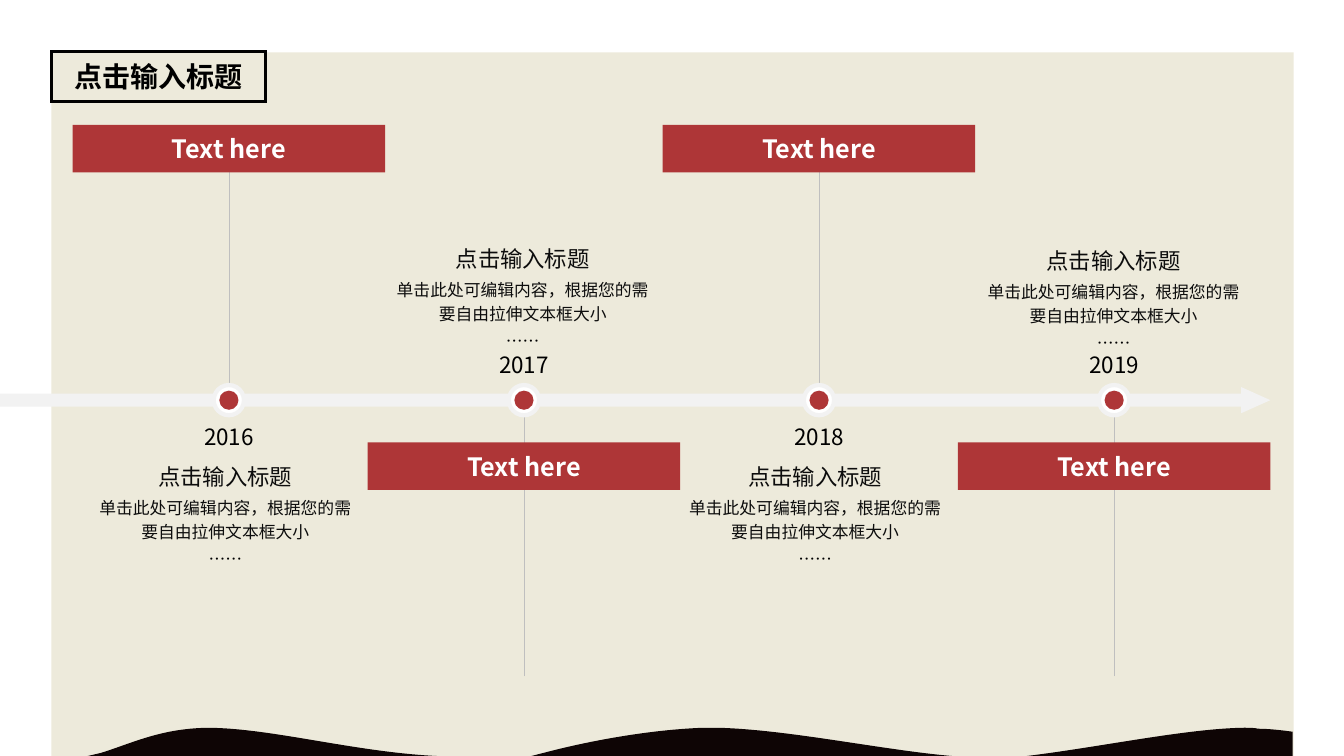
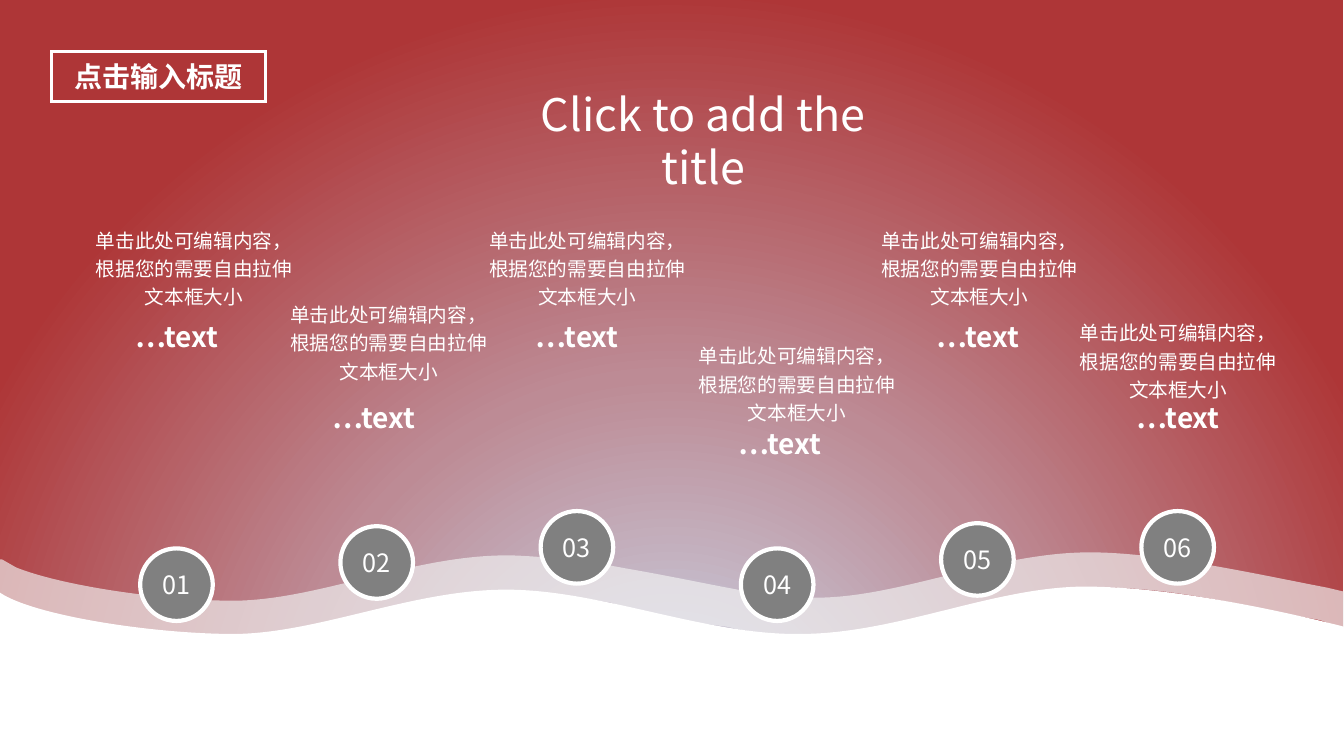
import pptx
import pptx.dml.color
import pptx.enum.shapes
import pptx.enum.text
import pptx.oxml
import pptx.oxml.ns
import pptx.util

PX = 9144
FONT = "Noto Sans CJK JP"
RED, CREAM, INK = "AE3637", "EDEADB", "0E0505"
WHITE, BLACK, SOFT_BLACK = "FFFFFF", "000000", "0D0D0D"
PALE, SILVER, GRAY = "F2F2F2", "BFBFBF", "808080"
GLOW = [(0, "CBDFF2", 100), (50, "BD8B95", 100), (100, RED, 100)]
GLOW_SHAPE = ('<a:path path="circle">'
              '<a:fillToRect l="50000" t="130000" r="50000" b="-30000"/></a:path>')
FADE = [(0, WHITE, 0), (100, WHITE, 100)]
FADE_SHAPE = '<a:lin ang="5400000" scaled="0"/>'
SHAPE = pptx.enum.shapes.MSO_SHAPE
ANCHOR = pptx.enum.text.MSO_ANCHOR
qn = pptx.oxml.ns.qn

HEADING = "点击输入标题"
BODY = "单击此处可编辑内容，根据您的需要自由拉伸文本框大小"
EVENT_TEXT = [(HEADING, 16, SOFT_BLACK), (BODY, 12, SOFT_BLACK), ("……", 12, BLACK)]
EVENTS = [
    ("2016", "Text here", True, (92, 454)),
    ("2017", "Text here", False, (387, 238)),
    ("2018", "Text here", True, (677, 454)),
    ("2019", "Text here", False, (973, 240)),
]
HILLS = [
    [(713, 722), (783, 724, 875, 744, 944, 750), (944, 750), (527, 750), (539, 747),
     (584, 735, 644, 724, 697, 722), (702, 722, 707, 722, 713, 722)],
    [(205, 722), (268, 722, 351, 746, 433, 750), (450, 750), (87, 750),
     (100, 747), (132, 737, 159, 723, 205, 722)],
    [(1234, 722), (1239, 722, 1244, 722, 1248, 723), (1257, 723, 1266, 724, 1275, 725),
     (1282, 726), (1282, 755), (944, 755), (961, 755),
     (1045, 752, 1162, 723, 1234, 722)],
]
STEPS = [
    ("01", 544, (89, 299), (93, 222), (175, 378)),
    ("02", 522, (284, 379), (286, 296), (374, 452)),
    ("03", 507, (486, 299), (483, 222), (572, 378)),
    ("04", 544, (687, 405), (691, 337), (771, 462)),
    ("05", 519, (883, 299), (872, 222), (969, 378)),
    ("06", 507, (1082, 379), (1069, 314), (1172, 456)),
]
RIBBON = [
    (1081, 548), (1151, 548, 1248, 570, 1316, 583), (1333, 587), (1334, 624),
    (1326, 623, 1317, 617, 1308, 615), (1239, 603, 1164, 581, 1081, 583),
    (1019, 585, 945, 609, 877, 621), (861, 623), (846, 626),
    (831, 629, 814, 631, 793, 631), (775, 631, 754, 628, 730, 624), (722, 622),
    (692, 618), (672, 615, 653, 612, 637, 608), (606, 598), (577, 593),
    (551, 589, 526, 586, 502, 586), (409, 586, 317, 630, 233, 631),
    (160, 631, 61, 617, 16, 598), (0, 590), (0, 555), (2, 555), (16, 563),
    (61, 581, 160, 596, 233, 596), (317, 595, 409, 551, 503, 551),
    (514, 551, 527, 552, 540, 553), (578, 557), (578, 552), (580, 552), (594, 559),
    (621, 564), (662, 571, 704, 580, 737, 586), (759, 591), (783, 592),
    (793, 592, 802, 593, 812, 593), (895, 592, 988, 548, 1081, 548),
]
SNOW = [
    (1071, 582), (1161, 581, 1279, 608, 1334, 622), (1334, 655, 1335, 700, 1335, 749),
    (1335, 756), (0, 756), (0, 588), (32, 610, 149, 629, 233, 629),
    (317, 628, 409, 585, 502, 585), (596, 585, 698, 630, 793, 629),
    (888, 629, 981, 584, 1071, 582),
]


def emu(*lengths):
    return [round(n * PX) for n in lengths]


def rgb(color):
    return pptx.dml.color.RGBColor.from_string(color)


def add(parent, tag, **attributes):
    child = parent.makeelement(qn(tag), attributes)
    parent.append(child)
    return child


def paint(sp, fill=None, line=None, weight=1):
    sp.shadow.inherit = False
    if fill:
        sp.fill.solid()
        sp.fill.fore_color.rgb = rgb(fill)
    else:
        sp.fill.background()
    if line:
        sp.line.color.rgb = rgb(line)
        sp.line.width = pptx.util.Pt(weight)
        add(sp._element.spPr.find(qn("a:ln")), "a:miter", lim="800000")
    else:
        sp.line.fill.background()
    return sp


def shape(s, kind, box, fill=None, line=None, weight=1):
    return paint(s.shapes.add_shape(kind, *emu(*box)), fill, line, weight)


def write(sp, paragraphs, bold=False, anchor=ANCHOR.MIDDLE, spacing=None):
    tf = sp.text_frame
    tf.word_wrap = True
    tf.vertical_anchor = anchor
    for i, (text, size, color) in enumerate(paragraphs):
        p = tf.add_paragraph() if i else tf.paragraphs[0]
        p.alignment = pptx.enum.text.PP_ALIGN.CENTER
        if spacing:
            p.line_spacing = spacing
            if i:
                p.space_before = pptx.util.Pt(size * 0.2)
        r = p.add_run()
        r.text = text
        r.font.size = pptx.util.Pt(size)
        r.font.bold = bold
        r.font.color.rgb = rgb(color)
        r.font.name = FONT
        add(r.font._element, "a:ea", typeface=FONT)
    return tf


def label(s, box, text, size, color, bold=False):
    return write(s.shapes.add_textbox(*emu(*box)), [(text, size, color)], bold)


def caption(s, box, paragraphs):
    tf = write(s.shapes.add_textbox(*emu(*box)), paragraphs, anchor=ANCHOR.TOP, spacing=1.2)
    tf.margin_left = tf.margin_right = tf.margin_top = tf.margin_bottom = 0
    tf.auto_size = pptx.enum.text.MSO_AUTO_SIZE.SHAPE_TO_FIT_TEXT


def heading(s, color):
    shape(s, SHAPE.RECTANGLE, (51, 51, 212, 50), None, color, 2.25)
    label(s, (62, 54, 190, 44), HEADING, 20, color, bold=True)


def connector(s, start, end, color, weight):
    kind = pptx.enum.shapes.MSO_CONNECTOR.STRAIGHT
    cx = s.shapes.add_connector(kind, *emu(*start, *end))
    cx.line.color.rgb = rgb(color)
    cx.line.width = pptx.util.Pt(weight)
    add(cx._element.spPr, "a:effectLst")
    return cx


def wave(s, path, fill):
    ends = [emu(*segment[-2:]) for segment in path]
    builder = s.shapes.build_freeform(*ends[0], scale=1)
    builder.add_line_segments(ends[1:], close=True)
    sp = paint(builder.convert_to_shape(), fill)
    left, top = (min(axis) for axis in zip(*ends))
    outline = sp._element.spPr.find(".//" + qn("a:path"))
    for segment, straight in zip(path[1:], outline.findall(qn("a:lnTo"))):
        if len(segment) == 6:
            curve = outline.makeelement(qn("a:cubicBezTo"), {})
            for x, y in zip(emu(*segment[::2]), emu(*segment[1::2])):
                add(curve, "a:pt", x=str(x - left), y=str(y - top))
            outline.replace(straight, curve)
    return sp


def set_opacity(sp, percent):
    color = sp._element.spPr.find(".//" + qn("a:srgbClr"))
    add(color, "a:alpha", val=str(percent * 1000))


def set_gradient(parent, old_fill, stops, direction):
    stop_xml = "".join(
        f'<a:gs pos="{pos * 1000}"><a:srgbClr val="{color}">'
        f'<a:alpha val="{alpha * 1000}"/></a:srgbClr></a:gs>' for pos, color, alpha in stops)
    gradient = pptx.oxml.parse_xml(
        f'<a:gradFill {pptx.oxml.ns.nsdecls("a")} rotWithShape="1">'
        f'<a:gsLst>{stop_xml}</a:gsLst>{direction}</a:gradFill>')
    parent.replace(parent.find(qn(old_fill)), gradient)


def timeline_slide(s):
    shape(s, SHAPE.RECTANGLE, (51, 52, 1232, 698), CREAM)
    arrow = shape(s, SHAPE.RIGHT_ARROW, (0, 384, 1260, 26), PALE)
    arrow.adjustments[0] = 0.5
    arrow.adjustments[1] = 1.115
    for i, (year, banner_text, above, _) in enumerate(EVENTS):
        x = 227 + i * 878 / 3
        start, end = ((x, 382), (x, 171)) if above else ((x, 671), (x, 412))
        stem = connector(s, start, end, SILVER, 0.25)
        banner = shape(s, SHAPE.RECTANGLE, (x - 155, 124 if above else 439, 310, 47), RED)
        write(banner, [(banner_text, 18, WHITE)], bold=True)
        if above:
            stem.end_connect(banner, 2)
        shape(s, SHAPE.OVAL, (x - 15, 382, 30, 30), WHITE, PALE, 3)
        shape(s, SHAPE.OVAL, (x - 9.5, 387.5, 19, 19), RED)
        label(s, (x - 41, 412 if above else 340, 82, 43), year, 16, BLACK)
    heading(s, BLACK)
    for *_, corner in EVENTS:
        caption(s, (*corner, 263, 113), EVENT_TEXT)
    for hill in HILLS:
        wave(s, hill, INK)


def steps_slide(s):
    backdrop = shape(s, SHAPE.RECTANGLE, (-2, -2, 1334, 758))
    set_gradient(backdrop._element.spPr, "a:noFill", GLOW, GLOW_SHAPE)
    for _, _, corner, _, _ in STEPS:
        label(s, (*corner, 173, 69), "…text", 20, WHITE, bold=True)
    set_opacity(wave(s, RIBBON, PALE), 66)
    wave(s, SNOW, WHITE)
    for i, (number, top, _, _, stem_end) in enumerate(STEPS):
        x = 139 + i * 993 / 5
        badge = shape(s, SHAPE.OVAL, (x, top, 72, 72), GRAY, WHITE, 3)
        write(badge, [(number, 18, WHITE)])
        stem = connector(s, (x + 36, top), stem_end, WHITE, 1)
        set_gradient(stem._element.spPr.find(qn("a:ln")), "a:solidFill", FADE, FADE_SHAPE)
    label(s, (487, 103, 421, 72), "Click to add the title", 32, WHITE)
    heading(s, WHITE)
    for _, _, _, corner, _ in STEPS:
        caption(s, (*corner, 199, 81), [(BODY, 14, WHITE)])


def main():
    prs = pptx.Presentation()
    prs.slide_width, prs.slide_height = emu(1333, 750)
    for build in (timeline_slide, steps_slide):
        build(prs.slides.add_slide(prs.slide_layouts[6]))
    prs.save("out.pptx")


if __name__ == "__main__":
    main()
